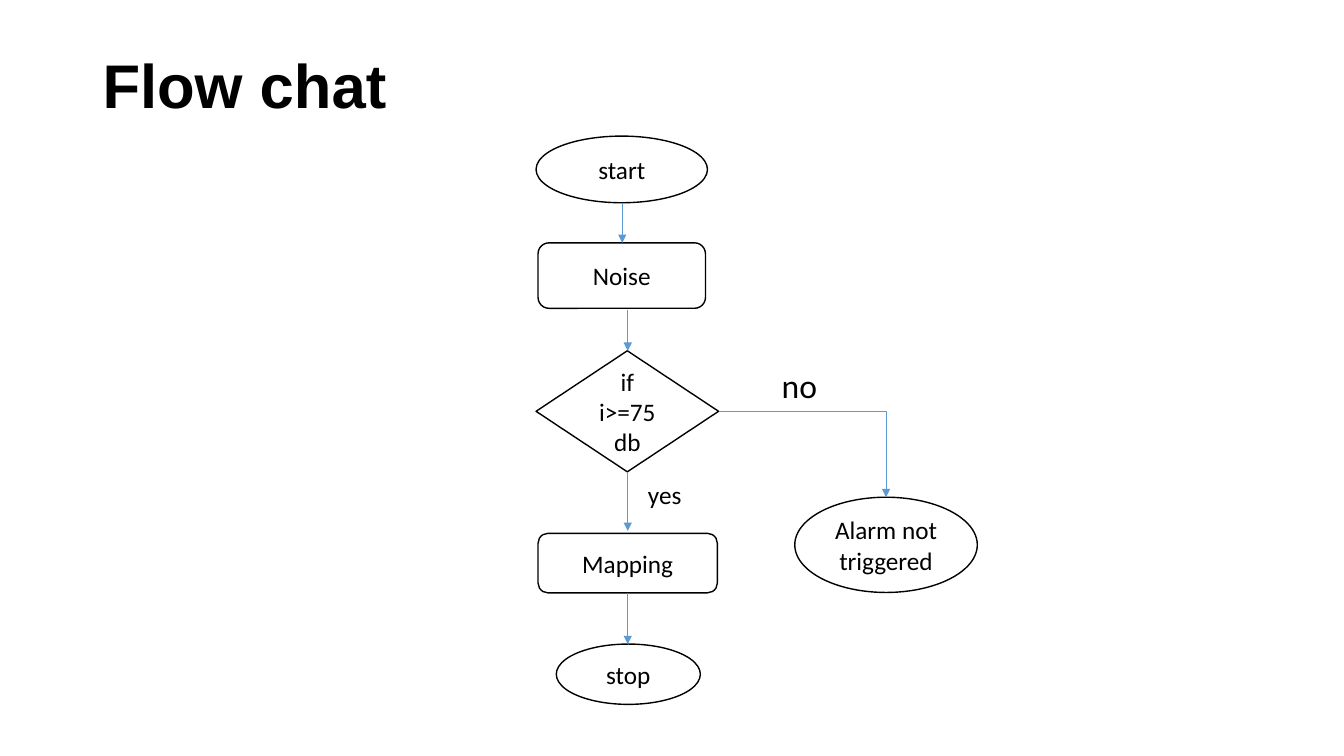
from lxml.etree import SubElement
from pptx import Presentation
from pptx.dml.color import RGBColor
from pptx.enum.shapes import MSO_CONNECTOR as LINE, MSO_SHAPE as SHAPE
from pptx.enum.text import MSO_ANCHOR as ANCHOR, MSO_AUTO_SIZE as FIT, PP_ALIGN as ALIGN
from pptx.oxml.ns import qn
from pptx.util import Cm, Pt

COLOURS = {"ink": "000000", "paper": "FFFFFF", "arrow": "5B9BD5"}
TITLE_FONT = {"name": "Arial", "size": Pt(44), "bold": True}
STEP_FONT = {"name": "Calibri", "size": Pt(18)}
LARGE_FONT = {"name": "Calibri", "size": Pt(24)}
STEP_FRAME = {"word_wrap": True, "vertical_anchor": ANCHOR.MIDDLE}
LABEL_FRAME = {"word_wrap": True, "auto_size": FIT.SHAPE_TO_FIT_TEXT}

# Boxes are left, top, width, height in cm, relative to the flow chart.
STEPS = [
    (SHAPE.OVAL, "start", (0, 0, 4.32, 1.68)),
    (SHAPE.ROUNDED_RECTANGLE, "Noise", (0.05, 2.69, 4.22, 1.65)),
    (SHAPE.FLOWCHART_DECISION, "if i>=75\ndb", (0, 5.41, 4.6, 3.05)),
    (SHAPE.ROUNDED_RECTANGLE, "Mapping", (0.05, 10.01, 4.52, 1.5)),
    (SHAPE.OVAL, "Alarm not triggered", (6.52, 9.1, 4.6, 2.4)),
    (SHAPE.OVAL, "stop", (0.51, 12.8, 3.63, 1.52)),
]
# Straight arrows down: x, top, bottom.
DOWN_ARROWS = [(2.17, 1.68, 2.69), (2.31, 4.37, 5.41),
               (2.31, 8.46, 9.95), (2.31, 11.51, 12.8)]
NO_BRANCH = (4.6, 6.94, 8.82, 9.1)
LABELS = [("no", LARGE_FONT, (5.94, 5.64, 2.51, 1.27)),
          ("yes", STEP_FONT, (2.57, 8.53, 1.52, 1.02))]


def colour(name):
    """Return the named colour of the slide."""
    return RGBColor.from_string(COLOURS[name])


def apply(target, formats):
    """Set every attribute in the dict on the target."""
    for name, value in formats.items():
        setattr(target, name, value)


def write(shape, text, font, frame, paragraph_format):
    """Fill a shape with text and format its frame, paragraphs and font."""
    shape.text_frame.text = text
    apply(shape.text_frame, frame)
    for paragraph in shape.text_frame.paragraphs:
        apply(paragraph, paragraph_format)
        for run in paragraph.runs:
            apply(run.font, font)
            run.font.color.rgb = colour("ink")


def place(box, left, top):
    """Turn a relative box in cm into lengths on the slide."""
    return [Cm(value) for value in (box[0] + left, box[1] + top, *box[2:])]


def add_arrow(slide, kind, left, top, ends):
    """Draw an arrow between two points given relative to left, top."""
    x1, y1, x2, y2 = ends
    points = (x1 + left, y1 + top, x2 + left, y2 + top)
    arrow = slide.shapes.add_connector(kind, *map(Cm, points))
    arrow.line.color.rgb = colour("arrow")
    arrow.line.width = Pt(0.5)
    properties = arrow._element.spPr
    SubElement(properties.find(qn("a:ln")), qn("a:tailEnd"), type="triangle")
    SubElement(properties, qn("a:effectLst"))
    return arrow


def add_title(slide, box):
    """Place and format the slide title in the box."""
    title = slide.shapes.title
    apply(title, dict(zip(("left", "top", "width", "height"), map(Cm, box))))
    write(title, "Flow chat", TITLE_FONT, STEP_FRAME,
          {"alignment": ALIGN.LEFT, "line_spacing": 0.9})


def add_flow_chart(slide, left, top):
    """Draw the steps, arrows and branch labels from the given corner."""
    for kind, text, box in STEPS:
        step = slide.shapes.add_shape(kind, *place(box, left, top))
        step.shadow.inherit = False
        step.fill.solid()
        step.fill.fore_color.rgb = colour("paper")
        step.line.color.rgb = colour("ink")
        step.line.width = Pt(1)
        write(step, text, STEP_FONT, STEP_FRAME, {"alignment": ALIGN.CENTER})
    for x, start, end in DOWN_ARROWS:
        add_arrow(slide, LINE.STRAIGHT, left, top, (x, start, x, end))
    branch = add_arrow(slide, LINE.ELBOW, left, top, NO_BRANCH)
    branch._element.spPr.find(qn("a:prstGeom")).set("prst", "bentConnector2")
    for text, font, box in LABELS:
        label = slide.shapes.add_textbox(*place(box, left, top))
        write(label, text, font, LABEL_FRAME, {"alignment": ALIGN.LEFT})


def main():
    """Build the slide and save it."""
    presentation = Presentation()
    presentation.slide_width, presentation.slide_height = Cm(33.87), Cm(19.05)
    slide = presentation.slides.add_slide(presentation.slide_layouts[5])
    add_title(slide, (2.33, 1.02, 29.21, 2.41))
    add_flow_chart(slide, 13.51, 3.43)
    presentation.save("out.pptx")


main()
